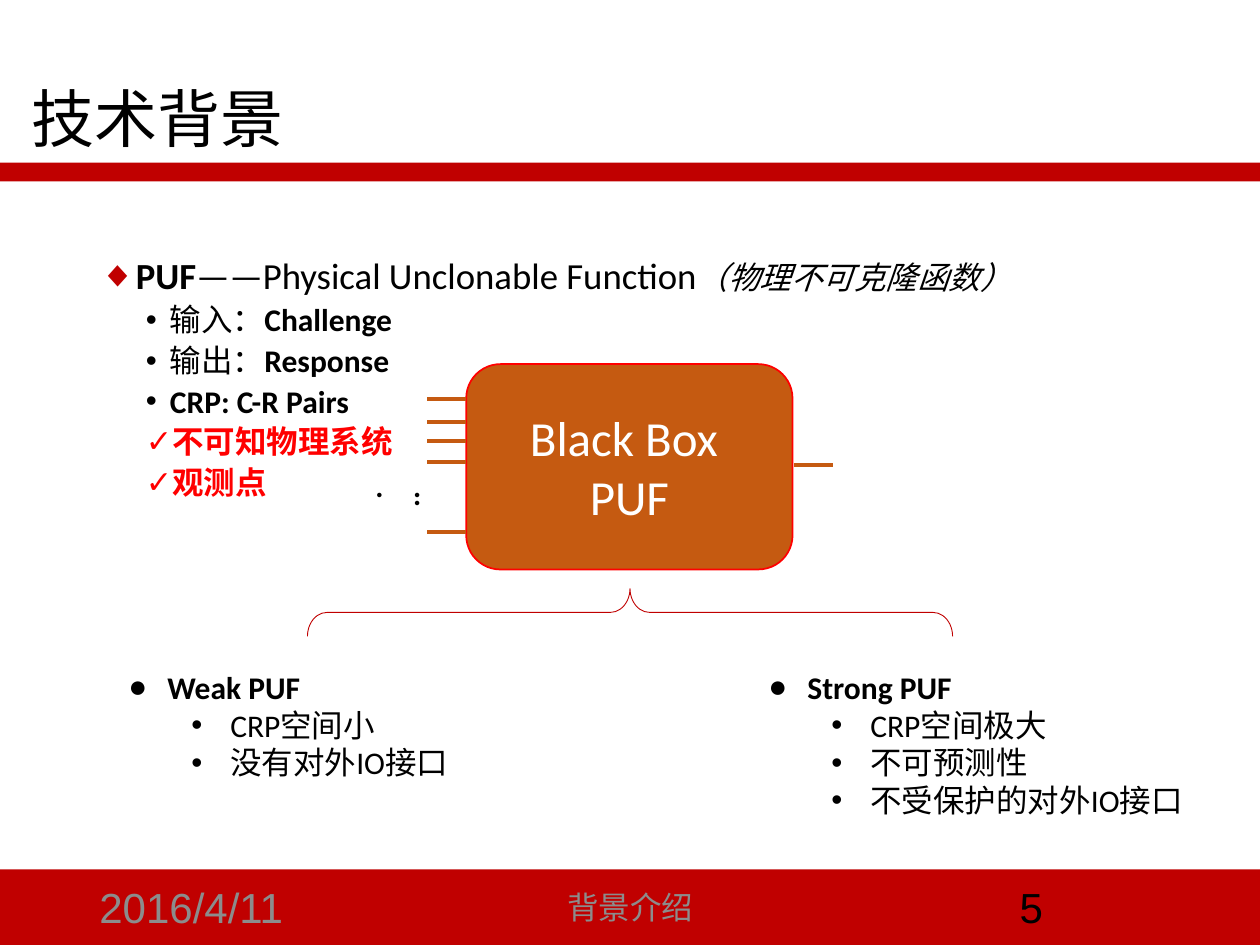
from dataclasses import dataclass
from typing import Optional

from lxml import etree
from pptx import Presentation
from pptx.dml.color import RGBColor
from pptx.enum import shapes, text
from pptx.oxml import ns
from pptx.util import Inches, Pt

RED = RGBColor(0xC0, 0x00, 0x00)
BRIGHT_RED = RGBColor(0xFF, 0x00, 0x00)
ORANGE = RGBColor(0xC5, 0x5A, 0x11)
GREY = RGBColor(0x8C, 0x8C, 0x8C)
BLACK = RGBColor(0x00, 0x00, 0x00)
WHITE = RGBColor(0xFF, 0xFF, 0xFF)
CJK = "Noto Sans CJK SC"
LEFT, CENTER = text.PP_ALIGN.LEFT, text.PP_ALIGN.CENTER
TOP, MIDDLE = text.MSO_ANCHOR.TOP, text.MSO_ANCHOR.MIDDLE


@dataclass
class Span:
    text: str
    size: float = 18
    font: str = "Calibri"
    color: RGBColor = BLACK
    bold: bool = False
    italic: bool = False


@dataclass
class Para:
    spans: list[Span]
    align: text.PP_ALIGN = LEFT
    level: int = 0
    bullet: str = ""
    bullet_color: Optional[RGBColor] = None
    margin: float = 0
    hanging: float = 0
    line_spacing: float = 1
    space_before: float = 0


def add_bullet(para, item: Para) -> None:
    props = para._p.get_or_add_pPr()
    props.set("marL", str(Inches(item.margin)))
    props.set("indent", str(-Inches(item.hanging)))
    if item.bullet_color is not None:
        color = etree.SubElement(props, ns.qn("a:buClr"))
        etree.SubElement(color, ns.qn("a:srgbClr"), val=str(item.bullet_color))
    etree.SubElement(props, ns.qn("a:buFont"), typeface="Arial")
    etree.SubElement(props, ns.qn("a:buChar"), char=item.bullet)


def write(frame, items: list[Para], anchor=TOP) -> None:
    frame.word_wrap = True
    frame.vertical_anchor = anchor
    for index, item in enumerate(items):
        para = frame.add_paragraph() if index else frame.paragraphs[0]
        para.alignment = item.align
        para.level = item.level
        para.line_spacing = item.line_spacing
        para.space_before = Pt(item.space_before if index else 0)
        if item.bullet:
            add_bullet(para, item)
        for span in item.spans:
            run = para.add_run()
            run.text = span.text
            run.font.name = span.font
            run.font.size = Pt(span.size)
            run.font.bold = span.bold
            run.font.italic = span.italic
            run.font.color.rgb = span.color


def add_text(page, left: float, top: float, width: float, height: float,
             items: list[Para], anchor=TOP):
    box = page.shapes.add_textbox(Inches(left), Inches(top), Inches(width), Inches(height))
    write(box.text_frame, items, anchor)
    return box


def add_shape(page, kind, left: float, top: float, width: float, height: float,
              fill: Optional[RGBColor] = None, line: Optional[RGBColor] = None,
              line_width: float = 1):
    shape = page.shapes.add_shape(kind, Inches(left), Inches(top), Inches(width), Inches(height))
    shape.shadow.inherit = False
    if fill is None:
        shape.fill.background()
    else:
        shape.fill.solid()
        shape.fill.fore_color.rgb = fill
    if line is None:
        shape.line.fill.background()
    else:
        shape.line.color.rgb = line
        shape.line.width = Pt(line_width)
    return shape


def add_pin(page, left: float, top: float) -> None:
    """Draw one short input or output wire of the black box."""
    pin = page.shapes.add_connector(shapes.MSO_CONNECTOR.STRAIGHT, Inches(left + 0.31),
                                    Inches(top), Inches(left), Inches(top))
    pin.line.color.rgb = ORANGE
    pin.line.width = Pt(2.25)
    etree.SubElement(pin._element.spPr, ns.qn("a:effectLst"))


def body_item(bullet: str, *spans: Span) -> Para:
    return Para(list(spans), level=1, bullet=bullet, margin=0.56, hanging=0.19,
                line_spacing=0.9, space_before=3.8)


def puf_kind(name: str, traits: list[str]) -> list[Para]:
    heading = Para([Span(name, bold=True)], bullet="●", margin=0.31, hanging=0.31)
    return [heading] + [Para([Span(trait)], level=1, bullet="•", margin=0.81, hanging=0.31)
                        for trait in traits]


def add_frame(page) -> None:
    """Draw the title, the red bars and the footer."""
    bar = shapes.MSO_SHAPE.RECTANGLE
    add_shape(page, bar, 0, 6.9, 10, 0.6, RED)
    add_shape(page, bar, 0, 1.29, 10, 0.15, RED)
    add_text(page, 0.15, 0.65, 7.51, 0.64,
             [Para([Span("技术背景", 36, "Cambria")], line_spacing=0.9)], MIDDLE)
    footer = [
        (0.69, 2.25, LEFT, Span("2016/4/11", 24, "Arial", GREY)),
        (3.31, 3.38, CENTER, Span("背景介绍", 18, CJK, GREY)),
        (7.06, 2.25, CENTER, Span("5", 24, "Arial")),
    ]
    for left, width, align, span in footer:
        add_text(page, left, 7, width, 0.4, [Para([span], align)], MIDDLE)


def add_definition(page) -> None:
    heading = Para([
        Span("PUF", 21, bold=True),
        Span("——Physical Unclonable Function", 21),
        Span("（", italic=True),
        Span("物理不可克隆函数", font=CJK, italic=True),
        Span("）", italic=True),
    ], bullet="◆", bullet_color=RED, margin=0.19, hanging=0.19, line_spacing=0.9)
    add_text(page, 0.69, 2, 8.62, 4.76, [
        heading,
        body_item("•", Span("输入："), Span("Challenge", bold=True)),
        body_item("•", Span("输出："), Span("Response", bold=True)),
        body_item("•", Span("CRP: C-R Pairs", bold=True)),
        body_item("✓", Span("不可知物理系统", color=BRIGHT_RED, bold=True)),
        body_item("✓", Span("观测点", color=BRIGHT_RED, bold=True)),
    ])


def add_black_box(page) -> None:
    box = add_shape(page, shapes.MSO_SHAPE.ROUNDED_RECTANGLE, 3.7, 2.89, 2.59, 1.63,
                    ORANGE, BRIGHT_RED)
    write(box.text_frame, [Para([Span(line, 28, color=WHITE)], CENTER)
                           for line in ("Black Box ", "PUF")], MIDDLE)
    for top in (3.17, 3.35, 3.5, 3.67, 4.22):
        add_pin(page, 3.39, top)
    add_pin(page, 6.3, 3.69)
    dots = add_text(page, 3.04, 3.8, 0.5, 0.33, [Para([Span("···")])])
    dots.text_frame._txBody.bodyPr.set("vert", "eaVert")


def add_kinds(page) -> None:
    brace = add_shape(page, shapes.MSO_SHAPE.RIGHT_BRACE, 4.81, 2.3, 0.38, 5.12,
                      line=RED, line_width=0.5)
    brace.rotation = 270
    brace.adjustments[0] = 0.41
    brace.adjustments[1] = 0.5
    add_text(page, 0.92, 5.25, 2.9, 1.31,
             puf_kind("Weak PUF", ["CRP空间小", "没有对外IO接口"]))
    add_text(page, 6, 5.25, 3.54, 1.31,
             puf_kind("Strong PUF", ["CRP空间极大", "不可预测性", "不受保护的对外IO接口"]))


def main() -> None:
    deck = Presentation()
    deck.slide_width, deck.slide_height = Inches(10), Inches(7.5)
    page = deck.slides.add_slide(deck.slide_layouts[6])
    add_frame(page)
    add_definition(page)
    add_black_box(page)
    add_kinds(page)
    deck.save("out.pptx")


if __name__ == "__main__":
    main()
